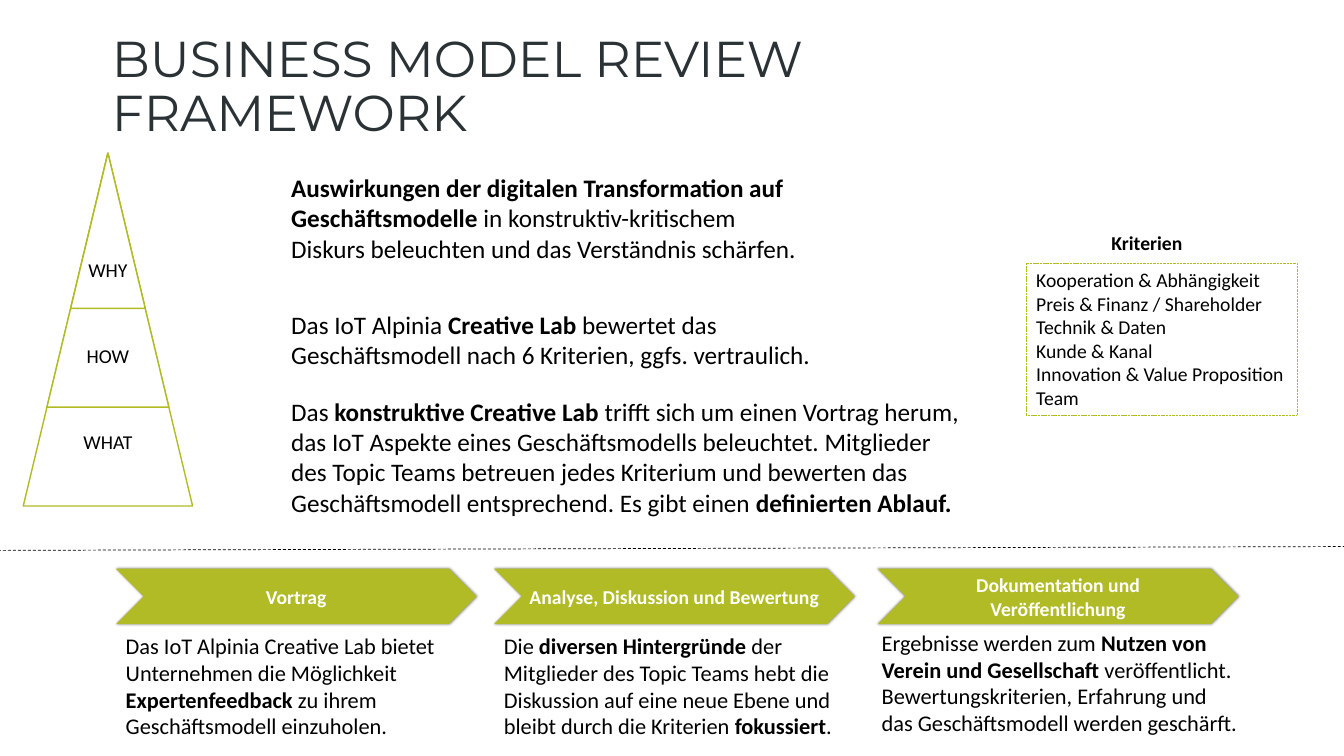
from lxml import etree
from pptx import Presentation
from pptx import util as u
from pptx.dml.color import RGBColor
from pptx.enum import dml, shapes, text
from pptx.oxml import ns

BLACK = RGBColor(0x00, 0x00, 0x00)
WHITE = RGBColor(0xFF, 0xFF, 0xFF)
TITLE_GREY = RGBColor(0x2A, 0x32, 0x35)
OUTLINE_GREEN = RGBColor(0xB1, 0xBB, 0x23)
ARROW_GREEN = RGBColor(0xB1, 0xBB, 0x25)

APEX_X, APEX_Y = 2.72, 3.86
PYRAMID_RATIO = 0.48
PYRAMID = [("WHAT", 8.89, 1.32), ("HOW", 6.4, 0.72), ("WHY", 3.91, 0.1)]

STATEMENTS = [
    (4.22, 13.49, 2.57,
     "**Auswirkungen der digitalen Transformation auf Geschäftsmodelle **in "
     "konstruktiv-kritischem Diskurs beleuchten und das Verständnis schärfen."),
    (7.67, 13.82, 1.8,
     "Das IoT Alpinia **Creative Lab **bewertet das Geschäftsmodell nach "
     "6 Kriterien, ggfs. vertraulich."),
    (9.86, 17.53, 3.33,
     "Das **konstruktive Creative Lab **trifft sich um einen Vortrag herum, das "
     "IoT Aspekte eines Geschäftsmodells beleuchtet. Mitglieder des Topic Teams "
     "betreuen jedes Kriterium und bewerten das Geschäftsmodell entsprechend. "
     "Es gibt einen **definierten Ablauf.**"),
]

CRITERIA = [
    "Kooperation & Abhängigkeit",
    "Preis & Finanz / Shareholder",
    "Technik & Daten",
    "Kunde & Kanal",
    "Innovation & Value Proposition",
    "Team",
]

STEPS = [
    (2.92, "Vortrag", (2.92, 15.8, 9.09, 3),
     "Das IoT Alpinia Creative Lab bietet Unternehmen die Möglichkeit "
     "**Expertenfeedback** zu ihrem Geschäftsmodell einzuholen."),
    (12.45, "Analyse, Diskussion und Bewertung", (12.45, 15.8, 9.09, 3),
     "Die **diversen Hintergründe **der Mitglieder des Topic Teams hebt die "
     "Diskussion auf eine neue Ebene und bleibt durch die Kriterien "
     "**fokussiert**."),
    (22.12, "Dokumentation und Veröffentlichung", (21.97, 15.72, 9.58, 3),
     "Ergebnisse werden zum **Nutzen von Verein und Gesellschaft** "
     "veröffentlicht. Bewertungskriterien, Erfahrung und das Geschäftsmodell "
     "werden geschärft."),
]


def cm_all(*lengths):
    return [u.Cm(length) for length in lengths]


def set_font(paragraph, size, color=BLACK, name="Calibri", bold=None):
    font = paragraph.font
    font.size, font.name, font.bold = u.Pt(size), name, bold
    font.color.rgb = color


def set_insets(frame, left, top, right, bottom):
    frame.margin_left, frame.margin_top = u.Cm(left), u.Cm(top)
    frame.margin_right, frame.margin_bottom = u.Cm(right), u.Cm(bottom)


def place(placeholder, left, top, width, height):
    placeholder.left, placeholder.top = u.Cm(left), u.Cm(top)
    placeholder.width, placeholder.height = u.Cm(width), u.Cm(height)


def add_title(slide, wording):
    title = slide.shapes.title
    place(title, 2.72, 0.74, 25.17, 2.97)
    frame = title.text_frame
    frame.text = wording
    frame.word_wrap = True
    frame.auto_size = text.MSO_AUTO_SIZE.NONE
    frame.vertical_anchor = text.MSO_ANCHOR.MIDDLE
    set_insets(frame, 0.1, 0.1, 0.1, 0.1)
    heading = frame.paragraphs[0]
    heading.alignment = text.PP_ALIGN.LEFT
    heading.line_spacing = 0.9
    set_font(heading, 36, TITLE_GREY, "Montserrat")


def add_criteria(slide):
    criteria = slide.placeholders[1]
    place(criteria, 25.86, 6.63, 6.83, 3.84)
    criteria.line.color.rgb = OUTLINE_GREEN
    criteria.line.width = u.Pt(0.25)
    criteria.line.dash_style = dml.MSO_LINE.SQUARE_DOT
    frame = criteria.text_frame
    frame.text = "\n".join(CRITERIA)
    frame.word_wrap = False
    frame.auto_size = text.MSO_AUTO_SIZE.NONE
    for criterion in frame.paragraphs:
        properties = criterion._p.get_or_add_pPr()
        properties.set("marL", "0")
        properties.set("indent", "0")
        etree.SubElement(properties, ns.qn("a:buNone"))
        criterion.space_before = u.Pt(0)
        set_font(criterion, 14)


def add_text(slide, box, wording, size, bold=None, wrap=True):
    frame = slide.shapes.add_textbox(*cm_all(*box)).text_frame
    frame.word_wrap = wrap
    frame.auto_size = text.MSO_AUTO_SIZE.SHAPE_TO_FIT_TEXT
    paragraph = frame.paragraphs[0]
    for index, part in enumerate(wording.split("**")):
        if part:
            run = paragraph.add_run()
            run.text = part
            if index % 2:
                run.font.bold = True
    set_font(paragraph, size, bold=bold)


def add_label(shape, wording, color, bold=None):
    frame = shape.text_frame
    frame.text = wording
    frame.vertical_anchor = text.MSO_ANCHOR.MIDDLE
    label = frame.paragraphs[0]
    label.alignment = text.PP_ALIGN.CENTER
    set_font(label, 14, color, bold=bold)


def add_pyramid_level(slide, wording, height, top_inset):
    width = height * PYRAMID_RATIO
    level = slide.shapes.add_shape(
        shapes.MSO_SHAPE.ISOSCELES_TRIANGLE,
        *cm_all(APEX_X - width / 2, APEX_Y, width, height))
    level.shadow.inherit = False
    level.fill.solid()
    level.fill.fore_color.rgb = WHITE
    level.line.color.rgb = OUTLINE_GREEN
    level.line.width = u.Pt(1)
    add_label(level, wording, BLACK)
    level.text_frame.word_wrap = False
    set_insets(level.text_frame, 0, top_inset, 0, 0.1)


def add_step_arrow(slide, left, wording):
    arrow = slide.shapes.add_shape(
        shapes.MSO_SHAPE.CHEVRON, *cm_all(left, 14.33, 9.09, 1.4))
    arrow.shadow.inherit = False
    arrow.fill.solid()
    arrow.fill.fore_color.rgb = ARROW_GREEN
    arrow.line.fill.background()
    effects = arrow._element.spPr.find(ns.qn("a:effectLst"))
    shadow = etree.SubElement(effects, ns.qn("a:outerShdw"),
                              blurRad=str(u.Pt(2)), dist="0", dir="5400000")
    tint = etree.SubElement(shadow, ns.qn("a:srgbClr"), val=str(BLACK))
    etree.SubElement(tint, ns.qn("a:alpha"), val="50000")
    add_label(arrow, wording, WHITE, bold=True)
    arrow.text_frame.word_wrap = True
    set_insets(arrow.text_frame, 0.08, 0.08, 0.08, 0.08)


def add_divider(slide):
    divider = slide.shapes.add_connector(
        shapes.MSO_CONNECTOR.STRAIGHT, *cm_all(-0.43, 13.87, 34.65, 13.77))
    divider.line.color.rgb = BLACK
    divider.line.width = u.Pt(0.5)
    divider.line.dash_style = dml.MSO_LINE.DASH
    etree.SubElement(divider._element.spPr, ns.qn("a:effectLst"))


def main():
    deck = Presentation()
    deck.slide_width, deck.slide_height = cm_all(33.87, 19.05)
    slide = deck.slides.add_slide(deck.slide_layouts[1])

    add_title(slide, "BUSINESS MODEL REVIEW FRAMEWORK")
    for wording, height, top_inset in PYRAMID:
        add_pyramid_level(slide, wording, height, top_inset)
    for top, width, height, statement in STATEMENTS:
        add_text(slide, (7.09, top, width, height), statement, 18)
    add_text(slide, (27.76, 5.69, 2.31, 0.86), "Kriterien", 14,
             bold=True, wrap=False)
    add_criteria(slide)
    add_divider(slide)
    for left, heading, box, explanation in STEPS:
        add_step_arrow(slide, left, heading)
        add_text(slide, box, explanation, 16)

    deck.save("out.pptx")


if __name__ == "__main__":
    main()
